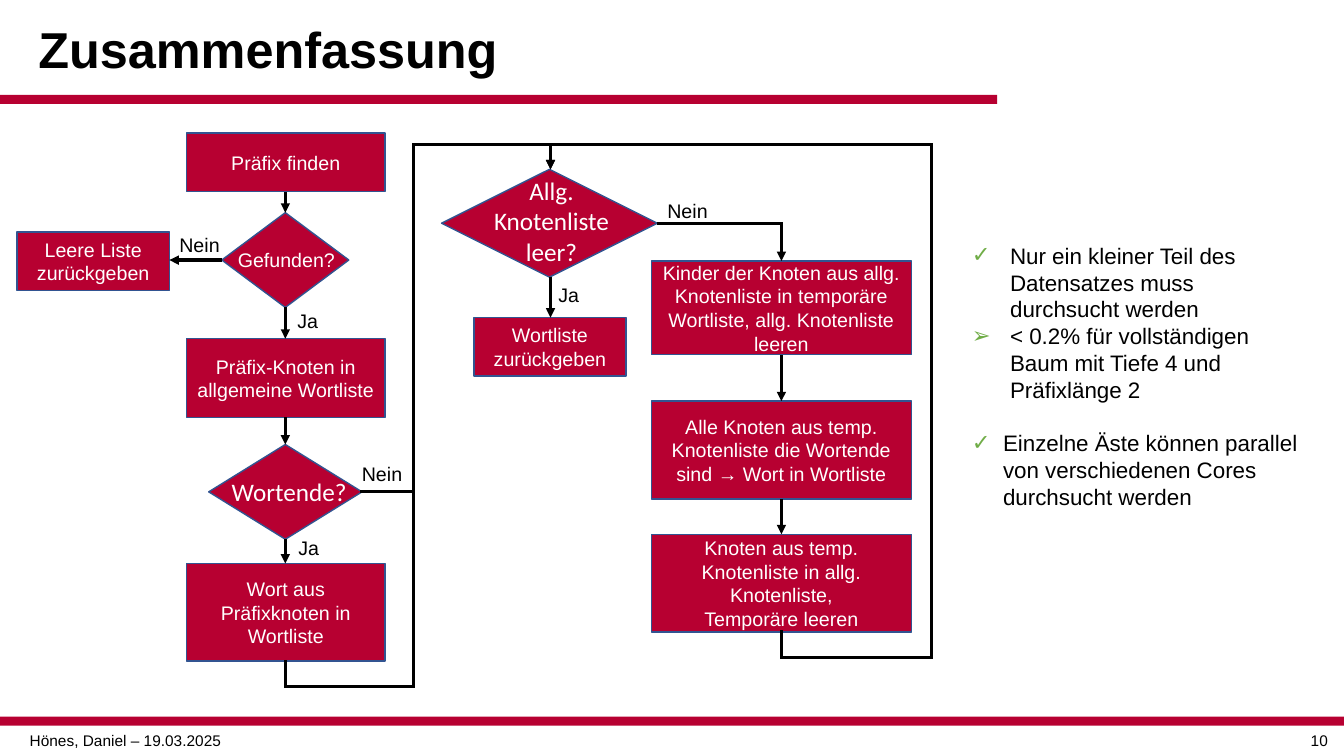
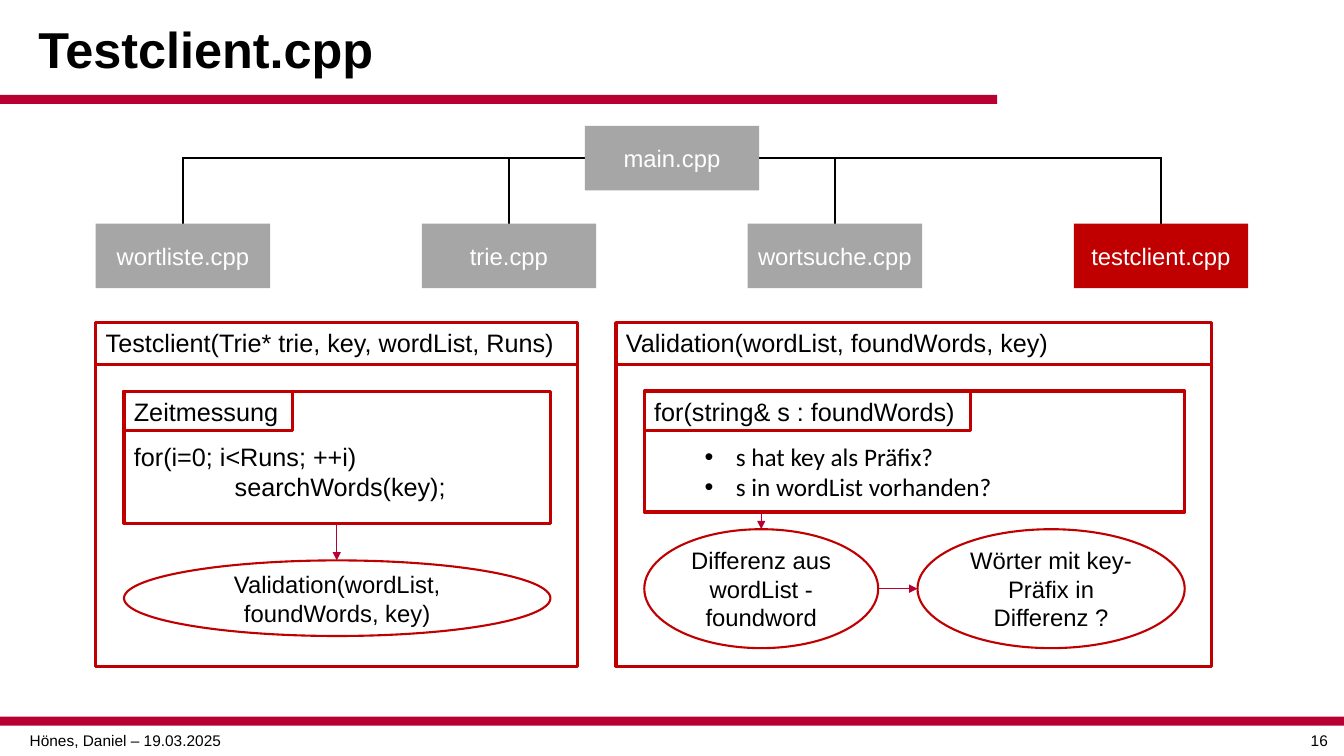
from itertools import pairwise

from lxml import etree
from pptx import Presentation
from pptx.dml.color import RGBColor
from pptx.enum.shapes import MSO_CONNECTOR, MSO_SHAPE
from pptx.enum.text import MSO_ANCHOR, PP_ALIGN
from pptx.oxml.ns import qn
from pptx.util import Inches, Pt

RECT, DIAMOND, OVAL = MSO_SHAPE.RECTANGLE, MSO_SHAPE.DIAMOND, MSO_SHAPE.OVAL
STRAIGHT = MSO_CONNECTOR.STRAIGHT
LEFT, CENTER = PP_ALIGN.LEFT, PP_ALIGN.CENTER
TOP, MIDDLE = MSO_ANCHOR.TOP, MSO_ANCHOR.MIDDLE

CRIMSON, RED, BLUE, GRAY = "B70031", "C00000", "325491", "A6A6A6"
GREEN, BLACK, WHITE = "70AD47", "000000", "FFFFFF"
WIDTH, HEIGHT = 13.33, 7.5


def add_block(slide, at, text=(), kind=None, fill=None, line=None, weight=1,
              size=14, font="Arial", color=BLACK, align=LEFT, anchor=TOP):
    """Add a shape, or a text box if kind is None.

    text is a string or a list of strings and (string, options) pairs; the
    options are font, spacing, before, margin, hanging, bullet, bullet_color.
    """
    frame = [Inches(length) for length in at]
    if kind is None:
        shape = slide.shapes.add_textbox(*frame)
    else:
        shape = slide.shapes.add_shape(kind, *frame)
        shape.shadow.inherit = False
        if fill:
            shape.fill.solid()
            shape.fill.fore_color.rgb = RGBColor.from_string(fill)
        else:
            shape.fill.background()
        if line:
            shape.line.color.rgb = RGBColor.from_string(line)
            shape.line.width = Pt(weight)
        else:
            shape.line.fill.background()

    body = shape.text_frame
    body.word_wrap = True
    body.vertical_anchor = anchor
    for index, entry in enumerate([text] if isinstance(text, str) else text):
        words, options = (entry, {}) if isinstance(entry, str) else entry
        paragraph = body.add_paragraph() if index else body.paragraphs[0]
        paragraph.alignment = align
        run = paragraph.add_run()
        run.text = words
        run.font.size = Pt(size)
        run.font.name = options.get("font", font)
        run.font.color.rgb = RGBColor.from_string(color)
        if "spacing" in options:
            paragraph.line_spacing = options["spacing"]
        if "before" in options:
            paragraph.space_before = Pt(options["before"])
        properties = paragraph._p.get_or_add_pPr()
        if "margin" in options:
            properties.set("marL", str(Inches(options["margin"])))
            properties.set("indent", str(-Inches(options.get("hanging", 0))))
        if "bullet" in options:
            tint = etree.SubElement(properties, qn("a:buClr"))
            etree.SubElement(tint, qn("a:srgbClr"),
                             val=options.get("bullet_color", color))
            etree.SubElement(properties, qn("a:buFont"), typeface="Arial")
            etree.SubElement(properties, qn("a:buChar"), char=options["bullet"])


def add_route(slide, *points, color=BLACK, weight=2.25, arrow=True):
    """Join the points with straight connectors, with the arrowhead at the last."""
    for start, end in pairwise(points):
        connector = slide.shapes.add_connector(
            STRAIGHT, *[Inches(length) for length in (*start, *end)])
        connector.line.color.rgb = RGBColor.from_string(color)
        connector.line.width = Pt(weight)
        properties = connector.element.spPr
        outline = properties.find(qn("a:ln"))
        if arrow and end == points[-1]:
            etree.SubElement(outline, qn("a:tailEnd"), type="triangle")
        else:
            outline.set("cap", "sq")
        etree.SubElement(properties, qn("a:effectLst"))


presentation = Presentation()
presentation.slide_width = Inches(WIDTH)
presentation.slide_height = Inches(HEIGHT)

# Title, bands and footer shared by both slides
slides = []
for heading, number in (("Zusammenfassung", "10"), ("Testclient.cpp", "16")):
    slide = presentation.slides.add_slide(presentation.slide_layouts[5])
    title = slide.shapes.title
    title.left, title.top = Inches(0.28), Inches(0.09)
    title.width, title.height = Inches(11.22), Inches(0.85)
    title.text_frame.text = heading
    title.text_frame.vertical_anchor = MIDDLE
    paragraph = title.text_frame.paragraphs[0]
    paragraph.alignment = LEFT
    paragraph.line_spacing = 0.9
    paragraph.font.size = Pt(36)
    paragraph.font.name = "Arial"
    paragraph.font.bold = True
    paragraph.font.color.rgb = RGBColor.from_string(BLACK)

    add_block(slide, (0, 0.94, 9.89, 0.09), kind=RECT, fill=CRIMSON)
    add_block(slide, (0, 7.11, WIDTH, 0.09), kind=RECT, fill=CRIMSON)
    add_block(slide, (0, 7.2, 2.49, 0.29), "Hönes, Daniel – 19.03.2025",
              size=11, align=CENTER)
    add_block(slide, (12.83, 7.2, 0.51, 0.29), number, size=11, align=CENTER)
    slides.append(slide)
summary, testclient = slides

# Summary: steps and decisions of the flowchart
node_style = dict(fill=CRIMSON, line=BLUE, color=WHITE, align=CENTER, anchor=MIDDLE)
steps = [
    ((1.85, 1.32, 1.97, 0.58), "Präfix finden"),
    ((1.85, 3.36, 1.97, 0.78), "Präfix-Knoten in allgemeine Wortliste"),
    ((1.85, 5.59, 1.97, 0.97), "Wort aus Präfixknoten in Wortliste"),
    ((0.17, 2.3, 1.51, 0.58), "Leere Liste zurückgeben"),
    ((4.7, 3.15, 1.51, 0.58), "Wortliste zurückgeben"),
    ((6.46, 2.59, 2.58, 0.93), "Kinder der Knoten aus allg. Knotenliste in "
                               "temporäre Wortliste, allg. Knotenliste leeren"),
    ((6.46, 3.98, 2.58, 0.97), "Alle Knoten aus temp. Knotenliste die Wortende "
                               "sind → Wort in Wortliste"),
    ((6.46, 5.3, 2.58, 0.97), ["Knoten aus temp. Knotenliste in allg. Knotenliste,",
                               "Temporäre leeren"]),
]
for at, text in steps:
    add_block(summary, at, text, kind=RECT, **node_style)

for at in ((2.2, 2.11, 1.26, 0.94), (2.07, 4.41, 1.52, 0.94), (4.38, 1.68, 2.14, 1.07)):
    add_block(summary, at, kind=DIAMOND, **node_style)
add_block(summary, (2.26, 2.41, 1.32, 0.34), "Gefunden?", color=WHITE)
add_block(summary, (2.2, 4.68, 1.52, 0.4), "Wortende?", size=18, font="Calibri",
          color=WHITE)
add_block(summary, (4.41, 1.69, 2.12, 1.01), ["Allg.", "Knotenliste", "leer?"],
          size=18, font="Calibri", color=WHITE, align=CENTER)

# Summary: arrows and their answers
prefix_x, list_x, child_x = 2.83, 5.46, 7.75
for x, start, end in (
    (prefix_x, 1.9, 2.11), (prefix_x, 3.05, 3.36), (prefix_x, 4.14, 4.41),
    (prefix_x, 5.35, 5.59), (list_x, 2.75, 3.15),
    (child_x, 3.52, 3.98), (child_x, 4.95, 5.3),
):
    add_route(summary, (x, start), (x, end))

branch_x, loop_x, loop_y = 4.1, 9.24, 1.43
list_entry = (list_x, 1.68)
add_route(summary, (2.2, 2.58), (1.68, 2.58))
add_route(summary, (6.53, 2.22), (child_x, 2.22), (child_x, 2.59))
add_route(summary, (child_x, 6.27), (child_x, 6.52), (loop_x, 6.52),
          (loop_x, loop_y), (list_x, loop_y), list_entry)
add_route(summary, (3.59, 4.88), (branch_x, 4.88), (branch_x, loop_y),
          (list_x, loop_y), list_entry)
add_route(summary, (prefix_x, 6.56), (prefix_x, 6.81), (branch_x, 6.81),
          (branch_x, 4.88), arrow=False)

for answer, places in (
    ("Ja", ((2.85, 3.02), (2.86, 5.27), (5.44, 2.76))),
    ("Nein", ((1.68, 2.26), (3.49, 4.53), (6.52, 1.92))),
):
    for left, top in places:
        add_block(summary, (left, top, 0.61, 0.34), answer)

# Summary: findings
finding = dict(margin=0.38, hanging=0.38, bullet="✓", bullet_color=GREEN)
add_block(summary, (9.54, 2.35, 3.43, 2.79), [
    ("Nur ein kleiner Teil des Datensatzes muss durchsucht werden", finding),
    ("< 0.2% für vollständigen Baum mit Tiefe 4 und Präfixlänge 2",
     finding | dict(bullet="➢")),
    ("Einzelne Äste können parallel von verschiedenen Cores durchsucht werden",
     finding | dict(margin=0.31, hanging=0.31, before=18.5)),
], size=16)

# Testclient: file tree
file_w, file_h, main_x, main_y, files_y = 1.73, 0.64, 5.8, 1.25, 2.22
files = ("wortliste.cpp", "trie.cpp", "wortsuche.cpp", "testclient.cpp")
file_style = dict(kind=RECT, size=17, color=WHITE, align=CENTER, anchor=MIDDLE)
trunk_y = main_y + file_h / 2
for index, name in enumerate(files):
    left = 0.95 + index * 9.7 / 3
    center = left + file_w / 2
    main_edge = main_x if center < WIDTH / 2 else main_x + file_w
    add_route(testclient, (main_edge, trunk_y), (center, trunk_y), (center, files_y),
              weight=1.5, arrow=False)
    add_block(testclient, (left, files_y, file_w, file_h), name,
              fill=RED if name == "testclient.cpp" else GRAY, **file_style)
add_block(testclient, (main_x, main_y, file_w, file_h), "main.cpp", fill=GRAY,
          **file_style)

# Testclient: the two functions, each with a labelled inner block
check = dict(font="Calibri", margin=0.81, hanging=0.31, bullet="•")
functions = [
    (0.95, 4.78, "Testclient(Trie* trie, key, wordList, Runs)", 4.23, 1.31, 1.67,
     ["Zeitmessung",
      ("for(i=0; i<Runs; ++i)", dict(spacing=1.5)),
      ("searchWords(key);", dict(margin=1))]),
    (6.11, 5.91, "Validation(wordList, foundWords, key)", 5.36, 1.2, 3.24,
     ["for(string& s : foundWords)",
      ("s hat key als Präfix?", check | dict(spacing=1.5)),
      ("s in wordList vorhanden?", check)]),
]
panel_style = dict(kind=RECT, line=RED, weight=2.25, size=18)
for left, width, signature, inner_w, inner_h, label_w, code in functions:
    inner_x = left + 0.28
    add_block(testclient, (left, 3.2, width, 3.41), signature, **panel_style)
    add_route(testclient, (left, 3.62), (left + width, 3.62), color=RED, arrow=False)
    add_block(testclient, (inner_x, 3.88, inner_w, inner_h), code, **panel_style)
    add_block(testclient, (inner_x, 3.88, label_w, 0.39), **panel_style)

for at, text in (
    ((1.23, 5.56, 4.23, 0.75), "Validation(wordList, foundWords, key)"),
    ((6.39, 5.25, 2.32, 1.18), "Differenz aus wordList - foundword"),
    ((9.1, 5.25, 2.65, 1.18), "Wörter mit key-Präfix in Differenz ?"),
):
    add_block(testclient, at, text, kind=OVAL, line=RED, weight=1.5, size=17,
              align=CENTER, anchor=MIDDLE)

for start, end in (
    ((3.34, 5.19), (3.34, 5.56)),
    ((7.55, 5.08), (7.55, 5.25)),
    ((8.71, 5.84), (9.1, 5.84)),
):
    add_route(testclient, start, end, color=CRIMSON, weight=0.5)

presentation.save("out.pptx")
